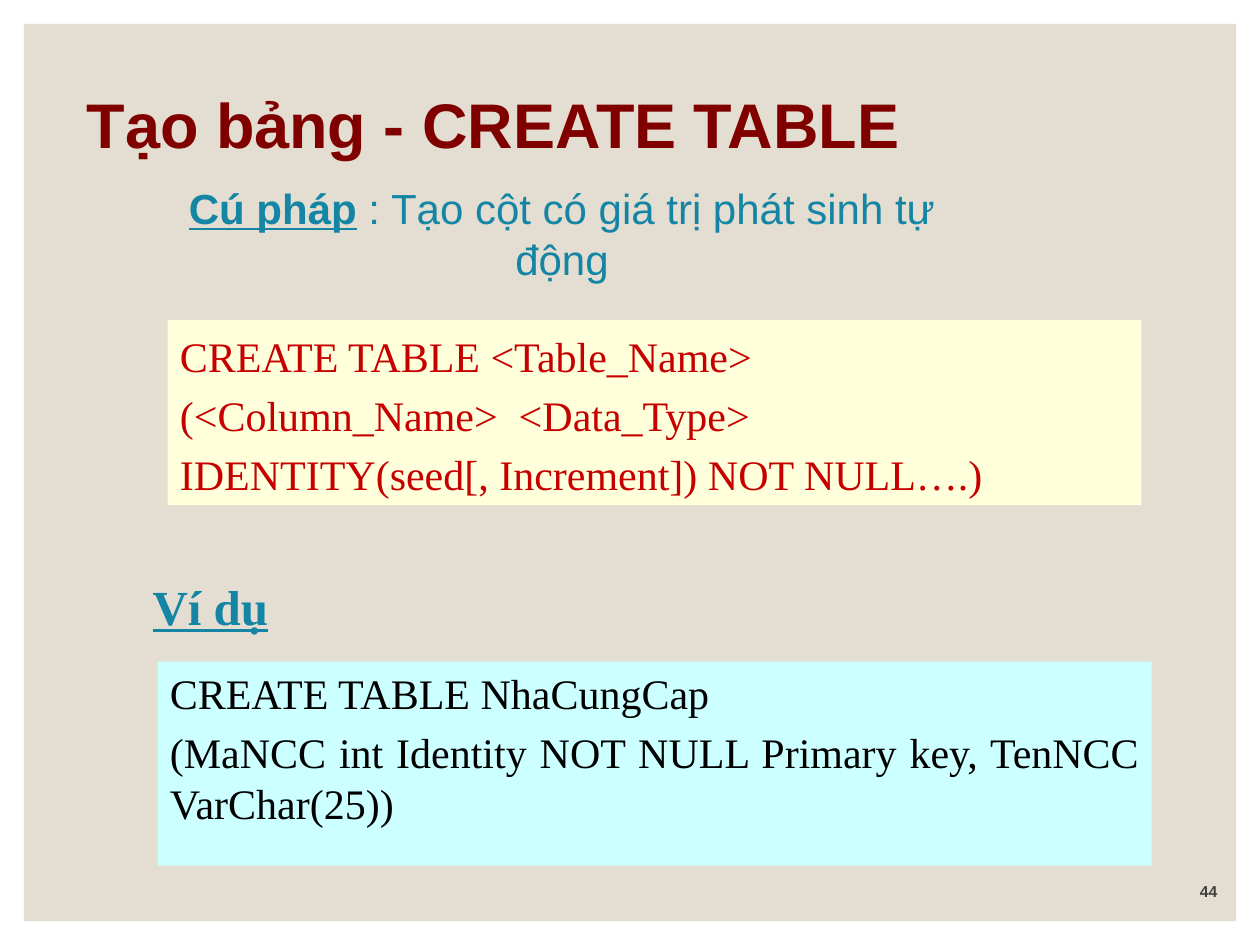
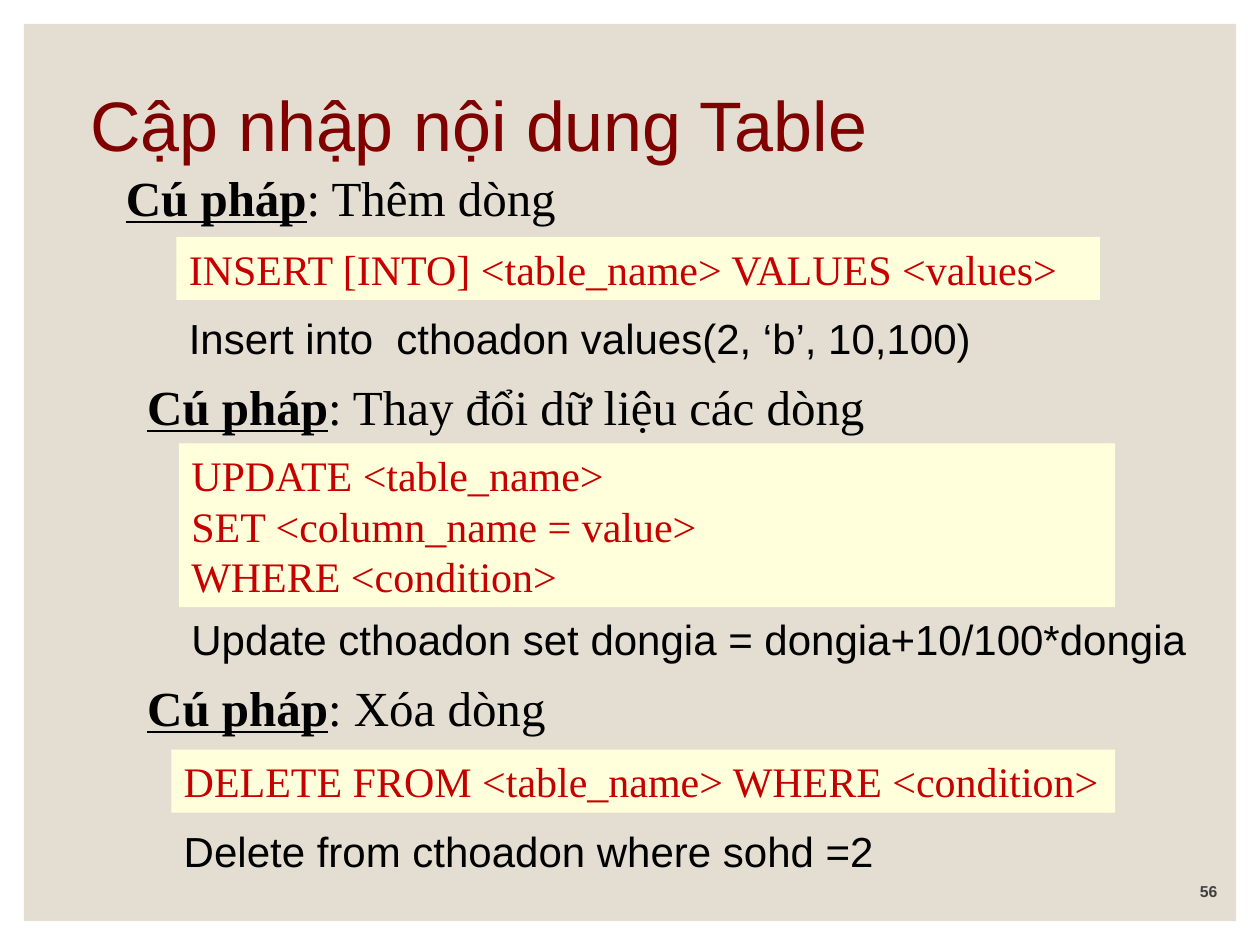
from pptx import Presentation
from pptx.dml.color import RGBColor
from pptx.enum.shapes import MSO_SHAPE
from pptx.enum.text import MSO_ANCHOR, PP_ALIGN
from pptx.util import Inches, Pt

RECT = MSO_SHAPE.RECTANGLE
TOP, MID, LOW = MSO_ANCHOR.TOP, MSO_ANCHOR.MIDDLE, MSO_ANCHOR.BOTTOM
LEFT, CENTER, RIGHT, JUST = PP_ALIGN.LEFT, PP_ALIGN.CENTER, PP_ALIGN.RIGHT, PP_ALIGN.JUSTIFY

SANS, SERIF = "Arial", "Times New Roman"
BLACK, MAROON, RED, TEAL, GRAY = "000000", "800000", "C60000", "1485A4", "404040"
SAND, CREAM, AQUA = "E3DED1", "FFFFDC", "CCFFFF"

CODE = {"name": SERIF, "size": Pt(24)}
QUERY = {"name": SANS, "size": Pt(24)}
HEAD = {"name": SERIF, "size": Pt(28)}
MARK = {"bold": True, "underline": True}
PAGE = {"name": SANS, "size": Pt(9), "bold": True}


def color(code):
    return RGBColor.from_string(code)


def write(shape, paras, font, ink, anchor=TOP, align=LEFT, gap=0):
    """Fill a shape with paragraphs, each a list of (text, extra format) runs."""
    frame = shape.text_frame
    frame.word_wrap = True
    frame.vertical_anchor = anchor
    for i, runs in enumerate(paras):
        para = frame.add_paragraph() if i else frame.paragraphs[0]
        para.alignment = align
        if i:
            para.space_before = Pt(gap)
        for text, extra in runs:
            run = para.add_run()
            run.text = text
            for key, value in {**font, **extra}.items():
                setattr(run.font, key, value)
            run.font.color.rgb = color(ink)


def label(slide, box, runs, font, ink, anchor=TOP, align=LEFT):
    shape = slide.shapes.add_textbox(*map(Inches, box))
    write(shape, [runs], font, ink, anchor, align)
    return shape


def panel(slide, box, fill):
    shape = slide.shapes.add_shape(RECT, *map(Inches, box))
    shape.shadow.inherit = False
    shape.fill.solid()
    shape.fill.fore_color.rgb = color(fill)
    shape.line.fill.background()
    return shape


def code(slide, box, lines, fill=CREAM, ink=RED, **layout):
    paras = [[(line, {})] for line in lines]
    write(panel(slide, box, fill), paras, CODE, ink, **layout)


def start(deck, page):
    """Add a slide with the shared backdrop and page number."""
    slide = deck.slides.add_slide(deck.slide_layouts[6])
    panel(slide, (0.19, 0.19, 9.62, 7.12), SAND)
    label(slide, (8.56, 6.9, 1.2, 0.3), [(page, {})], PAGE, GRAY, LOW, RIGHT)
    return slide


def title(slide, box, text, size, bold, anchor):
    font = {"name": SANS, "size": Pt(size), "bold": bold}
    return label(slide, box, [(text, {})], font, MAROON, anchor)


def create(deck):
    slide = start(deck, "44")
    title(slide, (0.59, 0.58, 8.52, 0.75), "Tạo bảng - CREATE TABLE", 36, True, LOW)
    label(slide, (1, 1.8, 6.92, 0.5),
          [("Cú pháp", MARK), (" : Tạo cột có giá trị phát sinh tự động", {})],
          QUERY, TEAL, LOW, CENTER)
    code(slide, (1.33, 2.54, 7.73, 1.47),
         ["CREATE TABLE <Table_Name>",
          "(<Column_Name>  <Data_Type>",
          "IDENTITY(seed[, Increment]) NOT NULL….)"], anchor=LOW, gap=5)
    label(slide, (1.1, 4.52, 1.14, 0.57), [("Ví dụ", MARK)], HEAD, TEAL, LOW, CENTER)
    code(slide, (1.25, 5.25, 7.89, 1.62),
         ["CREATE TABLE NhaCungCap",
          "(MaNCC int Identity NOT NULL Primary key, TenNCC VarChar(25))"],
         AQUA, BLACK, align=JUST, gap=5)


def update(deck):
    slide = start(deck, "56")
    head = title(slide, (0.62, 0.54, 8.52, 0.97), "Cập nhập nội dung Table", 40, False, MID)
    head.text_frame.paragraphs[0].line_spacing = 0.9

    # Each part: heading place and text, code box and lines, query top and text
    parts = [
        (0.9, 1.28, "Thêm dòng", (1.4, 1.88, 7.33, 0.5),
         ["INSERT [INTO] <table_name> VALUES <values>"],
         2.43, "Insert into  cthoadon values(2, ‘b’, 10,100)"),
        (1.07, 2.94, "Thay đổi dữ liệu các dòng", (1.42, 3.52, 7.43, 1.3),
         ["UPDATE <table_name>", "SET <column_name = value>", "WHERE <condition>"],
         4.82, "Update cthoadon set dongia = dongia+10/100*dongia"),
        (1.07, 5.33, "Xóa dòng", (1.36, 5.95, 7.49, 0.5),
         ["DELETE FROM <table_name> WHERE <condition>"],
         6.5, "Delete from cthoadon where sohd =2"),
    ]
    for left, top, topic, box, lines, low, query in parts:
        label(slide, (left, top, 8, 0.57),
              [("Cú pháp", MARK), (": " + topic, {})], HEAD, BLACK)
        code(slide, box, lines)
        label(slide, (box[0], low, 8.25, 0.51), [(query, {})], QUERY, BLACK)


def main():
    deck = Presentation()
    deck.slide_width, deck.slide_height = Inches(10), Inches(7.5)
    create(deck)
    update(deck)
    deck.save("out.pptx")


if __name__ == "__main__":
    main()
